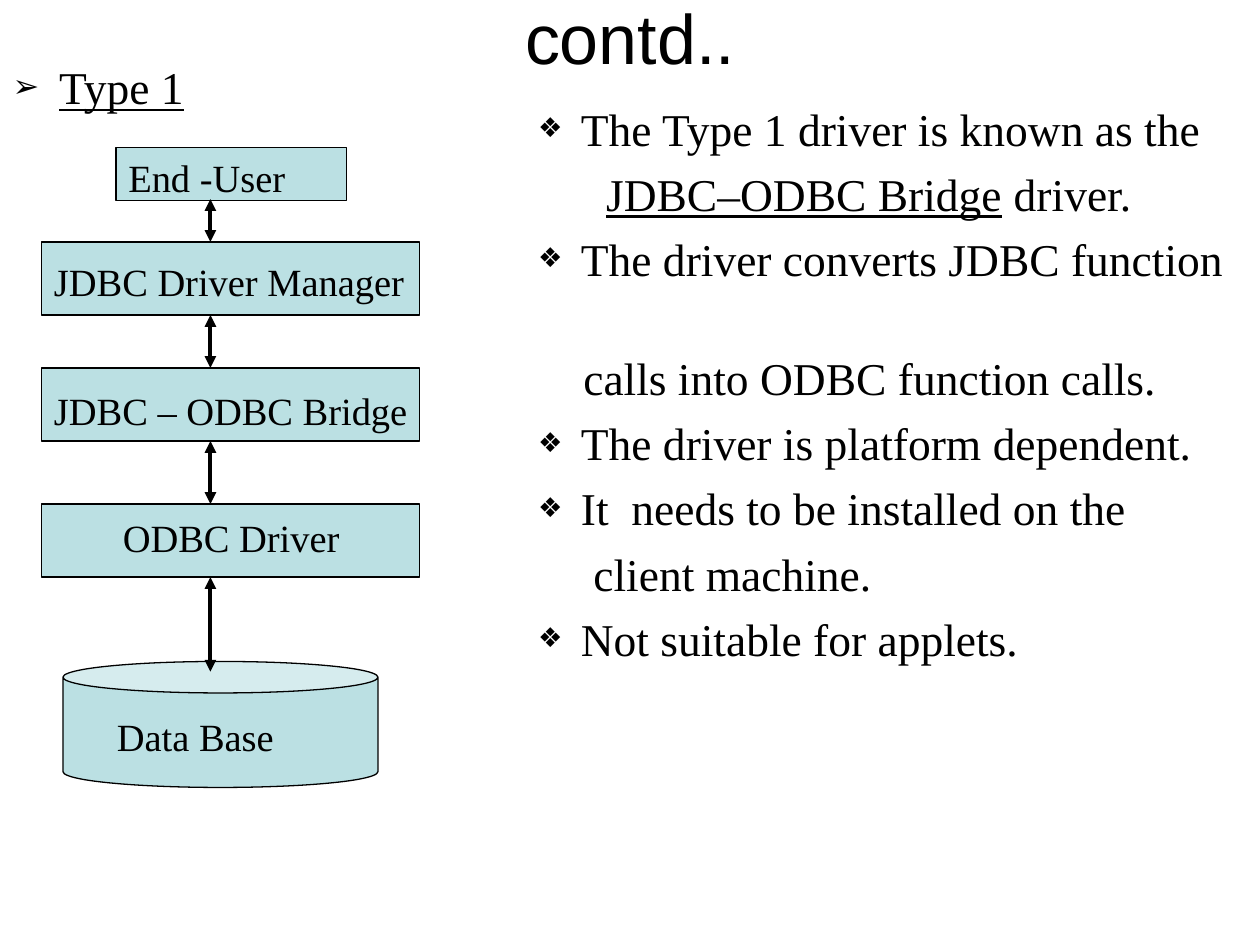
"""Build the slide on the Type 1 driver with its layer diagram."""
from dataclasses import dataclass

from lxml.etree import SubElement
from pptx import Presentation
from pptx.dml.color import RGBColor
from pptx.enum.shapes import MSO_CONNECTOR as Connector, MSO_SHAPE as Shape
from pptx.enum.text import MSO_ANCHOR as Anchor, MSO_AUTO_SIZE as AutoSize, PP_ALIGN as Align
from pptx.oxml.ns import qn
from pptx.util import Inches, Pt


@dataclass(frozen=True)
class Theme:
    ink: RGBColor = RGBColor(0, 0, 0)
    fill: RGBColor = RGBColor(0xBB, 0xE0, 0xE3)
    title_font: str = "Arial"
    text_font: str = "Times New Roman"
    title_size: Pt = Pt(40)
    body_size: Pt = Pt(26)
    label_size: Pt = Pt(22)
    outline: Pt = Pt(0.75)
    arrow: Pt = Pt(2.25)


theme = Theme()


def add_span(para, text, size, font=theme.text_font, underline=False):
    span = para.add_run()
    span.text = text
    span.font.size = size
    span.font.name = font
    span.font.color.rgb = theme.ink
    span.font.underline = underline


def set_bullet(para, symbol, percent, margin, hanging):
    properties = para._p.get_or_add_pPr()
    properties.set("marL", str(Inches(margin)))
    properties.set("indent", str(Inches(-hanging)))
    if symbol:
        SubElement(properties, qn("a:buSzPct")).set("val", str(percent * 1000))
        SubElement(properties, qn("a:buChar")).set("char", symbol)
    else:
        SubElement(properties, qn("a:buNone"))


deck = Presentation()
deck.slide_width, deck.slide_height = Inches(10), Inches(7.5)
page = deck.slides.add_slide(deck.slide_layouts[3])
title, heading, body = page.placeholders

for holder, (left, top, width, height), anchor in [
    (title, (0, 0.08, 10, 0.42), Anchor.MIDDLE),
    (heading, (0, 0.42, 10, 0.5), Anchor.TOP),
    (body, (4.17, 0.75, 5.67, 6.5), Anchor.TOP),
]:
    holder.left, holder.top = Inches(left), Inches(top)
    holder.width, holder.height = Inches(width), Inches(height)
    holder.text_frame.auto_size = AutoSize.NONE
    holder.text_frame.vertical_anchor = anchor

para = title.text_frame.paragraphs[0]
para.alignment = Align.CENTER
add_span(para, "contd..", theme.title_size, theme.title_font)

para = heading.text_frame.paragraphs[0]
para.space_before = Pt(7)
set_bullet(para, "➢", 70, 0.37, 0.37)
add_span(para, "Type 1", theme.body_size, underline=True)

points = [
    ("❖", 0.34, 6, [("The Type 1 driver is known as the", False)]),
    (None, 0.54, 6, [("JDBC–ODBC Bridge", True), (" driver.", False)]),
    ("❖", 0.34, 6, [("The driver converts JDBC function", False)]),
    (None, 0.36, 37, [("calls into ODBC function calls.", False)]),
    ("❖", 0.34, 6, [("The driver is platform dependent.", False)]),
    ("❖", 0.34, 6, [("It  needs to be installed on the", False)]),
    (None, 0.44, 6, [("client machine.", False)]),
    ("❖", 0.34, 6, [("Not suitable for applets.", False)]),
]
for number, (symbol, margin, gap, spans) in enumerate(points):
    frame = body.text_frame
    para = frame.add_paragraph() if number else frame.paragraphs[0]
    para.space_before = Pt(gap)
    set_bullet(para, symbol, 60, margin, margin if symbol else 0)
    for text, underline in spans:
        add_span(para, text, theme.body_size, underline=underline)

layers = [
    ("End -User", Shape.RECTANGLE, (0.92, 1.17, 1.83, 0.42), (0.92, 1.17, 1.81), Align.LEFT),
    ("JDBC Driver Manager", Shape.RECTANGLE, (0.33, 1.92, 3, 0.58), (0.33, 2, 3.08), Align.LEFT),
    ("JDBC – ODBC Bridge", Shape.RECTANGLE, (0.33, 2.92, 3, 0.58), (0.33, 3.02, 3.08), Align.LEFT),
    ("ODBC Driver", Shape.RECTANGLE, (0.33, 4, 3, 0.58), (0.46, 4.03, 2.75), Align.CENTER),
    ("Data Base", Shape.CAN, (0.5, 5.25, 2.5, 1), (0.83, 5.61, 1.81), Align.LEFT),
]
for text, kind, place, (left, top, width), alignment in layers:
    layer = page.shapes.add_shape(kind, *map(Inches, place))
    layer.shadow.inherit = False
    layer.fill.solid()
    layer.fill.fore_color.rgb = theme.fill
    layer.line.color.rgb = theme.ink
    layer.line.width = theme.outline
    box = page.shapes.add_textbox(Inches(left), Inches(top), Inches(width), Inches(0.47))
    box.text_frame.word_wrap = True
    para = box.text_frame.paragraphs[0]
    para.alignment = alignment
    add_span(para, text, theme.label_size)

for start, end in [(1.58, 1.92), (2.5, 2.92), (3.5, 4), (4.58, 5.33)]:
    arrow = page.shapes.add_connector(
        Connector.STRAIGHT, Inches(1.67), Inches(start), Inches(1.67), Inches(end)
    )
    arrow.line.color.rgb = theme.ink
    arrow.line.width = theme.arrow
    for tip in ("a:headEnd", "a:tailEnd"):
        SubElement(arrow.line._get_or_add_ln(), qn(tip)).set("type", "triangle")
    SubElement(arrow._element.spPr, qn("a:effectLst"))

deck.save("out.pptx")
